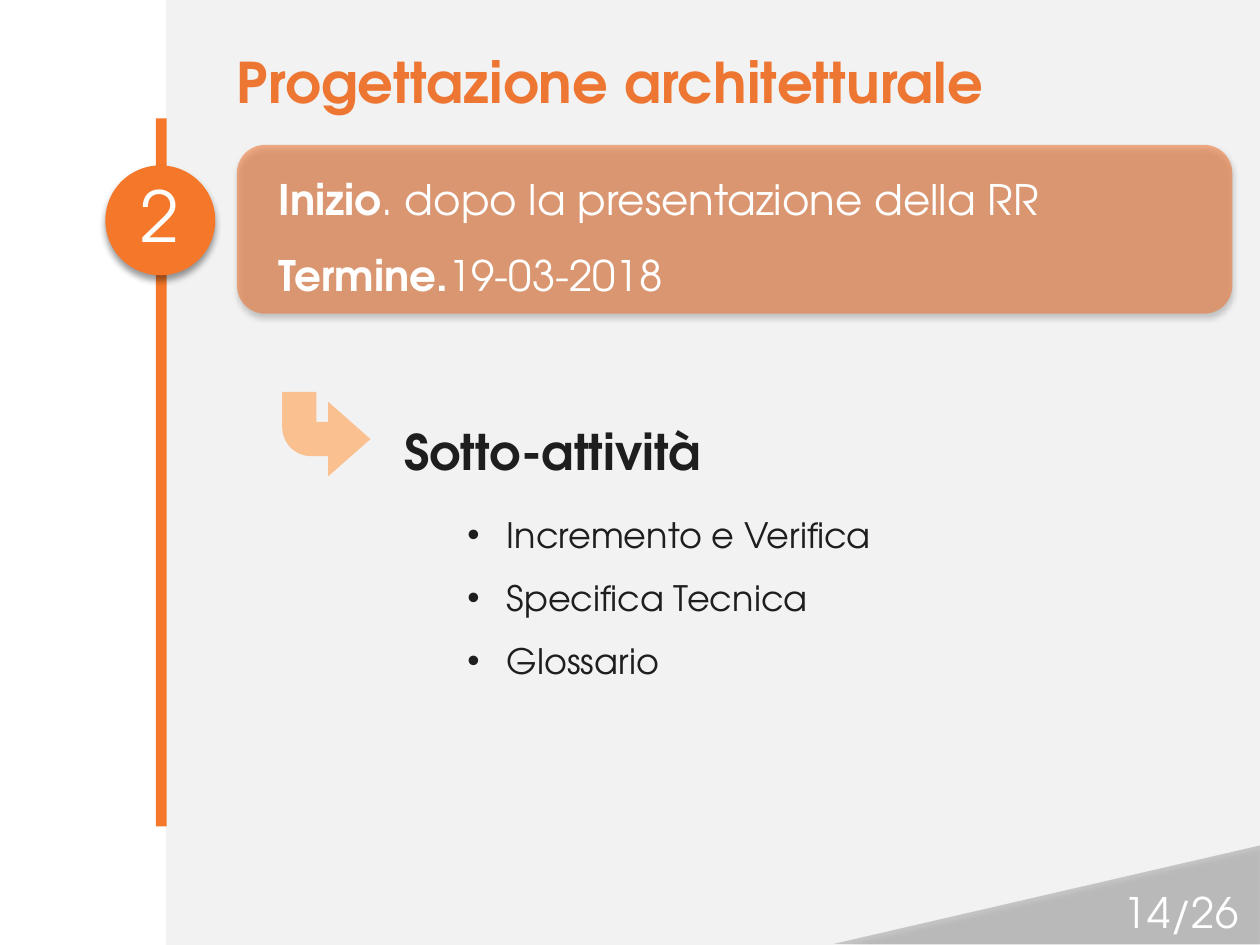
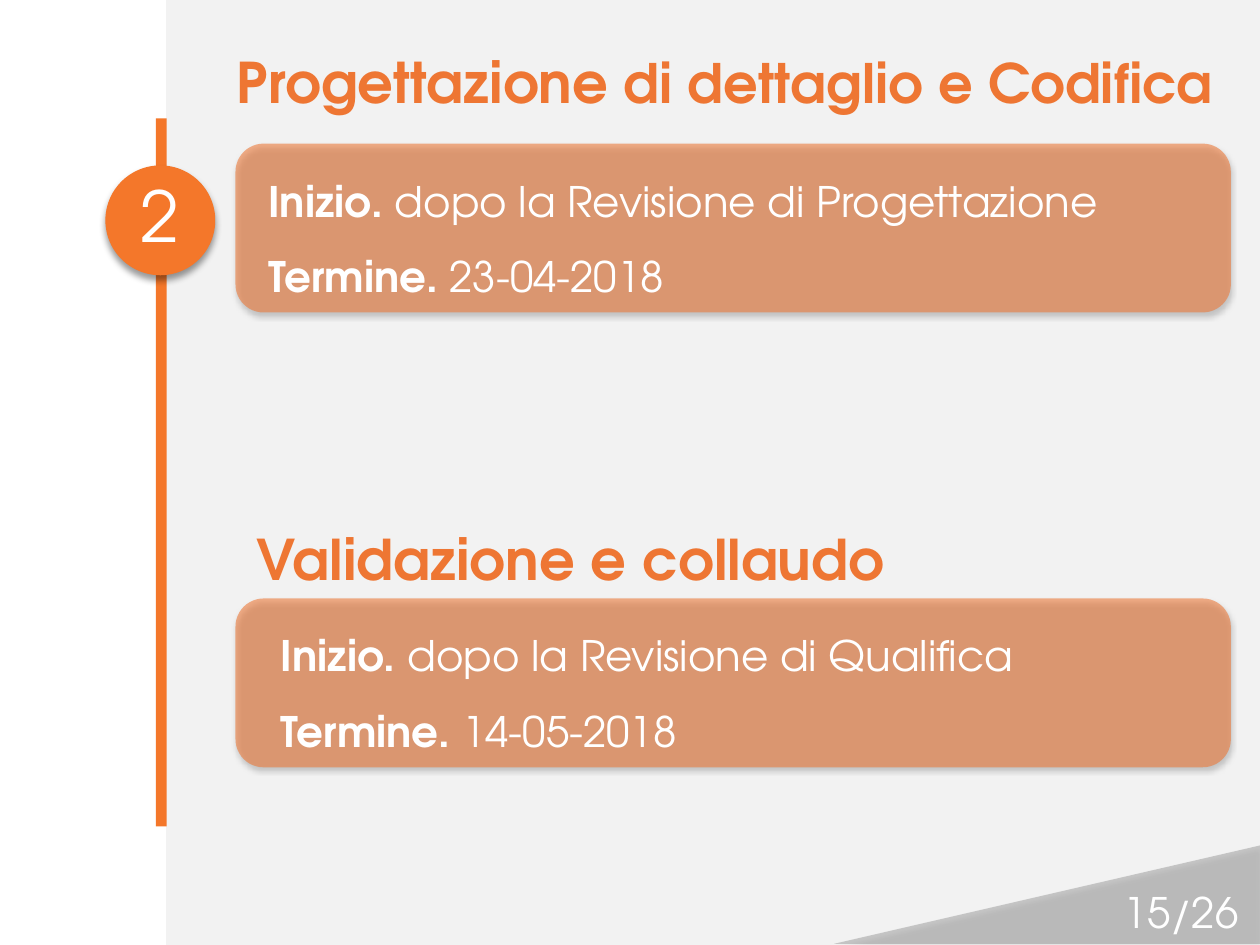
from lxml.etree import SubElement
from pptx import Presentation
from pptx.dml.color import RGBColor
from pptx.enum.shapes import MSO_SHAPE
from pptx.enum.text import MSO_ANCHOR, PP_ALIGN
from pptx.oxml.ns import qn
from pptx.util import Pt

FONT = "TeX Gyre Adventor"
COLORS = {"page": "F2F2F2", "accent": "F4772A", "title": "EE7633", "arrow": "FAC090",
          "dark": "1E1E1E", "white": "FFFFFF", "black": "000000"}
TOTAL = 26
PANEL_W, PANEL_H = 568.8, 96.5
# Shadow values: opacity %, blur, distance
SOFT, STRONG = (35, 3.1, 1.8), (40, 4, 3)


def set_attrs(obj, values):
    for name, value in values.items():
        setattr(obj, name, value)


def place(sp, box):
    set_attrs(sp, dict(zip(("left", "top", "width", "height"), map(Pt, box))))


def set_alpha(color_el, percent):
    SubElement(color_el, qn("a:alpha"), val=str(percent * 1000))


def add_shadow(sp, opacity, blur, dist):
    effects = sp._element.spPr.find(qn("a:effectLst"))
    shadow = SubElement(effects, qn("a:outerShdw"), blurRad=str(Pt(blur)), dist=str(Pt(dist)),
                        dir="5400000", algn="ctr", rotWithShape="0")
    set_alpha(SubElement(shadow, qn("a:srgbClr"), val=COLORS["black"]), opacity)


def add_shape(s, kind, box, color, alpha=None, shadow=None, adjust=()):
    sp = s.shapes.add_shape(kind, *map(Pt, box))
    sp.fill.solid()
    sp.fill.fore_color.rgb = RGBColor.from_string(COLORS[color])
    sp.line.fill.background()
    sp.shadow.inherit = False
    for i, value in enumerate(adjust):
        sp.adjustments[i] = value
    if alpha:
        set_alpha(sp._element.spPr.find(qn("a:solidFill"))[0], alpha)
    if shadow:
        add_shadow(sp, *shadow)
    return sp


def write(tf, paragraphs, color, align=PP_ALIGN.LEFT, spacing=1.0, anchor=MSO_ANCHOR.TOP, wrap=True):
    """Each paragraph is a list of (text, size, bold) runs."""
    set_attrs(tf, {"word_wrap": wrap, "vertical_anchor": anchor})
    for i, runs in enumerate(paragraphs):
        p = tf.add_paragraph() if i else tf.paragraphs[0]
        set_attrs(p, {"alignment": align, "line_spacing": spacing, "space_before": Pt(0)})
        for text, size, bold in runs:
            r = p.add_run()
            r.text = text
            set_attrs(r.font, {"name": FONT, "size": Pt(size), "bold": bold})
            r.font.color.rgb = RGBColor.from_string(COLORS[color])


def add_text(s, box, paragraphs, color, **style):
    tf = s.shapes.add_textbox(*map(Pt, box)).text_frame
    write(tf, paragraphs, color, **style)


def add_page_band(prs, s):
    """Grey page area, moved to the master so every slide shares it."""
    band = add_shape(s, MSO_SHAPE.RECTANGLE, (95, 0, 625, 540), "page")
    prs.slide_master.shapes.element.insert(2, band.element)


def add_timeline(s, x, y, number):
    add_shape(s, MSO_SHAPE.RECTANGLE, (x, y, 6.2, 404.6), "accent")
    badge = add_shape(s, MSO_SHAPE.OVAL, (x - 28.8, y + 26.8, 62.8, 62.8), "accent", shadow=STRONG)
    write(badge.text_frame, [[(number, 40, False)]], "white", align=PP_ALIGN.CENTER,
          spacing=0.9, anchor=MSO_ANCHOR.MIDDLE)


def add_footer(s, x, y, page):
    add_shape(s, MSO_SHAPE.ISOSCELES_TRIANGLE, (x, y, 243.4, 56.2), "black",
              alpha=18, shadow=SOFT, adjust=[1])
    add_text(s, (x + 154, y + 20.2, 84.2, 28.8), [[(f"{page}/{TOTAL}", 24, False)]],
             "white", align=PP_ALIGN.RIGHT)


def add_panel(s, x, y, lines, dx, dy=0):
    """Rounded panel with bold labels; dx, dy shift the text inside it."""
    add_shape(s, MSO_SHAPE.ROUNDED_RECTANGLE, (x, y, PANEL_W, PANEL_H), "title",
              alpha=57, shadow=SOFT)
    paragraphs = [[(label, 24, True), (text, 24, False)] for label, text in lines]
    add_text(s, (x + dx, y + dy, 547, 94.3), paragraphs, "white", spacing=1.5)


def add_subtasks(s, x, y, heading, items):
    arrow = add_shape(s, MSO_SHAPE.BENT_ARROW, (x, y, 50.4, 48.4), "arrow",
                      adjust=[0.404, 0.442, 0.5, 0.341])
    arrow._element.spPr.find(qn("a:xfrm")).set("flipV", "1")
    add_text(s, (x + 62.6, y - 3.6, 188.6, 51.8), [[(heading, 28, True)]], "dark",
             spacing=1.5, wrap=False)
    # Bulleted list
    body = s.placeholders[1]
    place(body, (x + 98.6, y + 54, 360, 116.6))
    write(body.text_frame, [[(item, 20, False)] for item in items], "dark", spacing=1.5)
    for p in body.text_frame.paragraphs:
        set_attrs_xml = p._p.get_or_add_pPr()
        for name, value in {"marL": 22.5, "indent": -22.5}.items():
            set_attrs_xml.set(name, str(Pt(value)))


def add_phase_slide(prs, layout, page, title, title_box):
    """Slide with the shared title style, timeline and footer."""
    s = prs.slides.add_slide(prs.slide_layouts[layout])
    place(s.shapes.title, title_box)
    write(s.shapes.title.text_frame, [title], "title")
    add_timeline(s, 89, 67.7, "2")
    add_footer(s, 476.6, 483.1, page)
    return s


def main():
    prs = Presentation()
    set_attrs(prs, {"slide_width": Pt(720), "slide_height": Pt(540)})

    # Architectural design
    s = add_phase_slide(prs, 1, 14, [("Progettazione architetturale", 32, True)],
                        (128.2, 23.8, 492.5, 46))
    add_page_band(prs, s)
    add_panel(s, 135.4, 82.8, [("Inizio", ". dopo la presentazione della RR"),
                               ("Termine.", "19-03-2018")], 16.6, -1.4)
    add_subtasks(s, 161.3, 223.9, "Sotto-attività",
                 ["Incremento e Verifica", "Specifica Tecnica", "Glossario"])

    # Detailed design, then validation
    s = add_phase_slide(prs, 5, 15, [("Progettazione", 32, True),
                                     (" di dettaglio e Codifica", 31, True)],
                        (128.2, 23.8, 576.7, 85))
    add_panel(s, 134.6, 82.1, [("Inizio.", " dopo la Revisione di Progettazione"),
                               ("Termine.", " 23-04-2018")], 11.5)
    add_text(s, (139.7, 295.9, 378.7, 46), [[("Validazione e collaudo", 32, True)]], "title")
    add_panel(s, 134.6, 342, [("Inizio.", " dopo la Revisione di Qualifica"),
                              ("Termine. ", "14-05-2018")], 18.7)

    prs.save("out.pptx")


if __name__ == "__main__":
    main()
